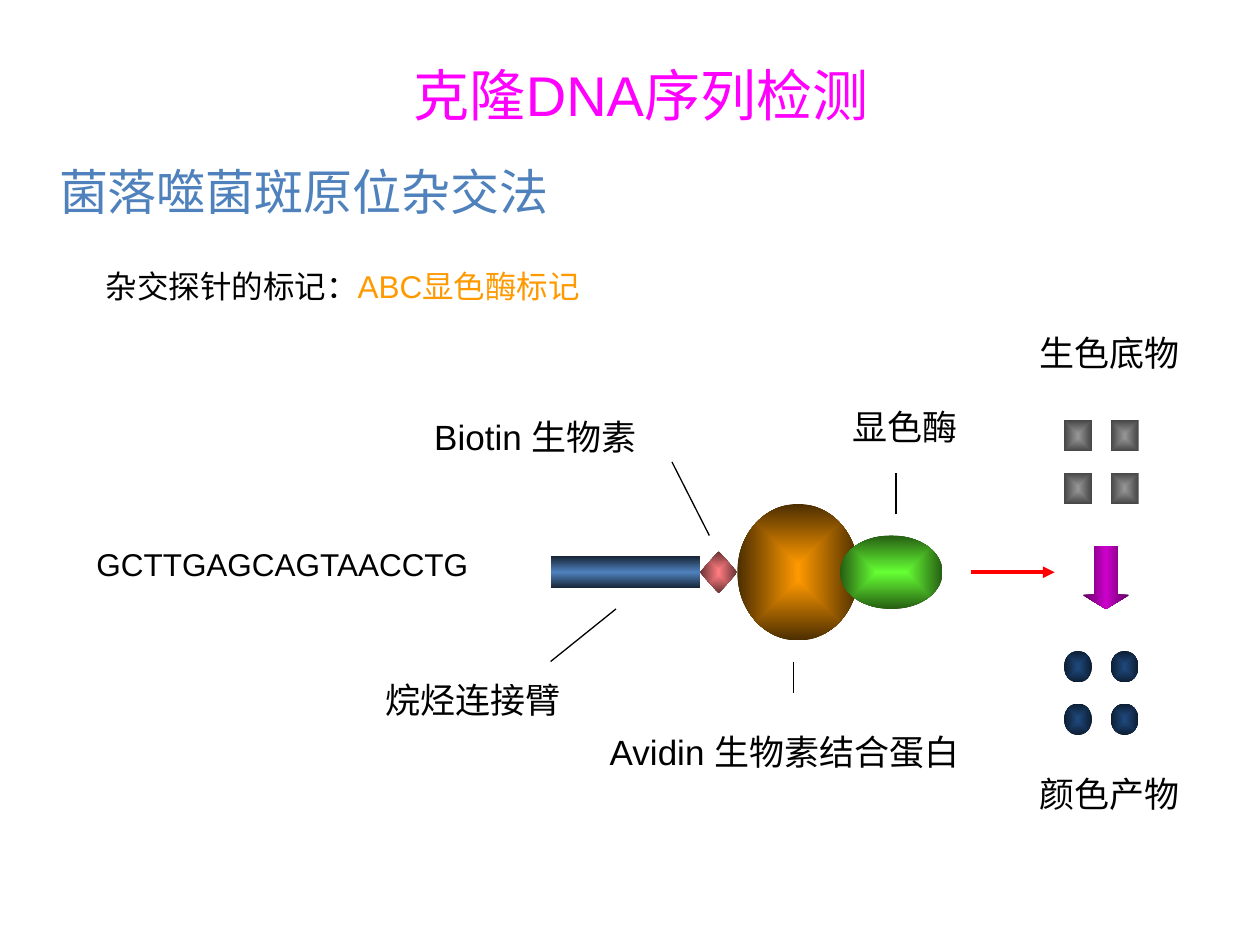
from dataclasses import dataclass
from itertools import product
from typing import Optional

from lxml import etree
from pptx import Presentation
from pptx.dml.color import RGBColor
from pptx.enum.shapes import MSO_CONNECTOR, MSO_SHAPE as Shape
from pptx.oxml import parse_xml
from pptx.oxml.ns import nsdecls, qn
from pptx.util import Emu, Inches, Pt

COLS, ROWS = 135, 90
WIDTH, HEIGHT = Inches(10), Inches(7.5)


@dataclass(frozen=True)
class Theme:
    sans: str = "Arial"
    serif: str = "Times New Roman"
    title: str = "FF00FF"
    heading: str = "4F81BD"
    accent: str = "FF9900"
    ink: str = "000000"
    flow: str = "FF0000"
    shadow: str = "EEECE1"
    title_pt: float = 32
    heading_pt: float = 28
    label_pt: float = 20
    body_pt: float = 18
    thin_pt: float = 0.75
    thick_pt: float = 2.25


T = Theme()


@dataclass(frozen=True)
class Run:
    text: str
    color: str = T.ink
    font: str = T.sans


@dataclass(frozen=True)
class Label:
    col: float
    row: float
    cols: float
    rows: float
    runs: tuple[Run, ...]
    size: float = T.label_pt
    shadow: bool = True


@dataclass(frozen=True)
class Gradient:
    colors: tuple[str, ...]
    angle: Optional[int] = None  # None: spreads from the centre


@dataclass(frozen=True)
class Part:
    kind: Shape
    col: float
    row: float
    cols: float
    rows: float
    fill: Gradient


@dataclass(frozen=True)
class Line:
    start: tuple[float, float]
    end: tuple[float, float]
    color: str = T.ink
    width: float = T.thin_pt
    arrow: bool = False


def x(cols: float) -> Emu:
    return Emu(round(WIDTH * cols / COLS))


def y(rows: float) -> Emu:
    return Emu(round(HEIGHT * rows / ROWS))


def add_label(s, label: Label) -> None:
    tf = s.shapes.add_textbox(x(label.col), y(label.row),
                              x(label.cols), y(label.rows)).text_frame
    tf.word_wrap = True
    p = tf.paragraphs[0]
    p.line_spacing = 1.5
    p.font.size = Pt(label.size)
    for run in label.runs:
        r = p.add_run()
        r.text = run.text
        r.font.color.rgb = RGBColor.from_string(run.color)
        if label.shadow:
            r.font.fill._xPr.append(parse_xml(
                f'<a:effectLst {nsdecls("a")}><a:outerShdw dist="17961" dir="2700000">'
                f'<a:srgbClr val="{T.shadow}"/></a:outerShdw></a:effectLst>'))
        r.font.name = run.font


def set_gradient(sp, gradient: Gradient) -> None:
    last = len(gradient.colors) - 1
    stops = "".join(f'<a:gs pos="{100000 * i // last}"><a:srgbClr val="{c}"/></a:gs>'
                    for i, c in enumerate(gradient.colors))
    if gradient.angle is None:
        shade = ('<a:path path="rect"><a:fillToRect l="50000" t="50000" '
                 'r="50000" b="50000"/></a:path>')
    else:
        shade = f'<a:lin ang="{gradient.angle * 60000}" scaled="1"/>'
    sp.fill.background()
    props = sp._element.spPr
    props.replace(props.find(qn("a:noFill")), parse_xml(
        f'<a:gradFill {nsdecls("a")} rotWithShape="1">'
        f'<a:gsLst>{stops}</a:gsLst>{shade}</a:gradFill>'))


def add_part(s, part: Part) -> None:
    sp = s.shapes.add_shape(part.kind, x(part.col), y(part.row),
                            x(part.cols), y(part.rows))
    sp.shadow.inherit = False
    set_gradient(sp, part.fill)
    sp.line.fill.background()
    if part.kind == Shape.DOWN_ARROW:
        sp.adjustments[1] = 0.3


def add_line(s, line: Line) -> None:
    c = s.shapes.add_connector(MSO_CONNECTOR.STRAIGHT, x(line.start[0]), y(line.start[1]),
                               x(line.end[0]), y(line.end[1]))
    c.line.color.rgb = RGBColor.from_string(line.color)
    c.line.width = Pt(line.width)
    if line.arrow:
        etree.SubElement(c.line._get_or_add_ln(), qn("a:tailEnd"), type="triangle")
    etree.SubElement(c._element.spPr, qn("a:effectLst"))


def block(kind: Shape, rows: tuple[int, ...], fill: Gradient) -> list[Part]:
    """Two columns of small molecules."""
    return [Part(kind, col, row, 3, 3, fill) for row, col in product(rows, (114, 119))]


LABELS = [
    Label(43, 2, 56.5, 11, (Run("克隆DNA序列检测", T.title),), T.title_pt, False),
    Label(5, 12, 61.5, 9, (Run("菌落噬菌斑原位杂交法", T.heading),), T.heading_pt),
    Label(10, 23, 68, 10, (Run("杂交探针的标记：", font=T.serif),
                           Run("ABC显色酶标记", T.accent)), T.body_pt),
    Label(9, 49.5, 50, 10, (Run("GCTTGAGCAGTAACCTG"),), T.body_pt),
    Label(90, 36, 17, 10, (Run("显色酶"),)),
    Label(45.2, 37, 28, 10, (Run("Biotin 生物素"),)),
    Label(64, 67, 44, 8, (Run("Avidin 生物素结合蛋白"),)),
    Label(40, 62, 22, 10, (Run("烷烃连接臂"),)),
    Label(110, 29, 22.5, 10, (Run("生色底物"),)),
    Label(110, 71, 21.5, 10, (Run("颜色产物"),)),
]

PARTS = [
    # Probe complex: avidin, biotin, linker arm, enzyme
    Part(Shape.OVAL, 79, 48, 13, 13, Gradient((T.accent, "4C2E00"))),
    Part(Shape.DIAMOND, 75, 52.5, 4, 4, Gradient(("FF7C80", "663233"))),
    Part(Shape.RECTANGLE, 59, 53, 16, 3, Gradient(("182638", T.heading, "182638"), 90)),
    Part(Shape.OVAL, 90, 51, 11, 7, Gradient(("66FF33", "265E13"))),
    # Substrate turning into coloured product
    *block(Shape.RECTANGLE, (40, 45), Gradient(("969696", "454545"))),
    Part(Shape.DOWN_ARROW, 116, 52, 5, 6, Gradient(("5E005E", "CC00CC", "5E005E"), 0)),
    *block(Shape.OVAL, (62, 67), Gradient(("1F497D", "0C1D32"))),
]

LINES = [
    Line((76, 51), (72, 44)),  # biotin
    Line((85, 63), (85, 66)),  # avidin
    Line((66, 58), (59, 63)),  # linker arm
    Line((96, 49), (96, 45)),  # enzyme
    Line((104, 54.5), (113, 54.5), T.flow, T.thick_pt, True),
]


def main() -> None:
    prs = Presentation()
    prs.slide_width, prs.slide_height = WIDTH, HEIGHT
    s = prs.slides.add_slide(prs.slide_layouts[6])
    for part in PARTS:
        add_part(s, part)
    for line in LINES:
        add_line(s, line)
    for label in LABELS:
        add_label(s, label)
    prs.save("out.pptx")


if __name__ == "__main__":
    main()
